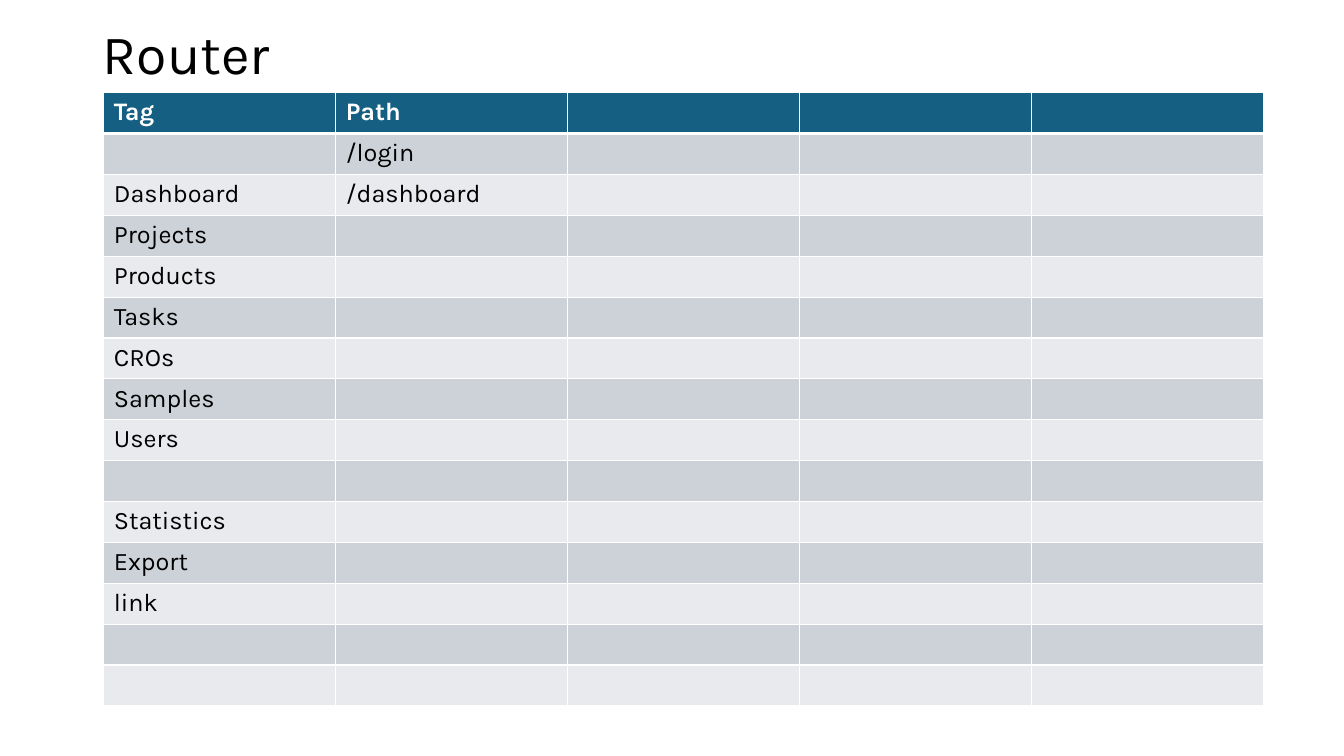
from typing import NamedTuple

from pptx import Presentation
from pptx.dml.color import RGBColor
from pptx.enum.text import MSO_ANCHOR, MSO_AUTO_SIZE, PP_ALIGN
from pptx.oxml.ns import qn
from pptx.util import Inches, Pt
from lxml.etree import SubElement

FONT = "Karla"
BLACK = RGBColor(0x00, 0x00, 0x00)
WHITE = RGBColor(0xFF, 0xFF, 0xFF)
HEADER_FILL = RGBColor(0x15, 0x60, 0x82)
DARK_BAND = RGBColor(0xCC, 0xD2, 0xD8)
LIGHT_BAND = RGBColor(0xE8, 0xEA, 0xED)
COLUMN_COUNT = 5


class Route(NamedTuple):
    tag: str = ""
    path_text: str = ""


ROUTES = [
    Route("Tag", "Path"),
    Route("", "/login"),
    Route("Dashboard", "/dashboard"),
    Route("Projects"),
    Route("Products"),
    Route("Tasks"),
    Route("CROs"),
    Route("Samples"),
    Route("Users"),
    Route(),
    Route("Statistics"),
    Route("Export"),
    Route("link"),
    Route(),
    Route(),
]


def write_text(frame, text: str, *, size: float = 18, color: RGBColor = BLACK,
               bold: bool = False, line_spacing: float = 1.0) -> None:
    paragraph = frame.paragraphs[0]
    paragraph.alignment = PP_ALIGN.LEFT
    paragraph.line_spacing = line_spacing
    run = paragraph.add_run()
    run.text = text
    run.font.name = FONT
    run.font.size = Pt(size)
    run.font.bold = bold
    run.font.color.rgb = color


def set_borders(cell, bottom_width: float) -> None:
    """Give the cell white borders, which must precede its fill in the XML."""
    properties = cell._tc.get_or_add_tcPr()
    widths = {"a:lnL": 1, "a:lnR": 1, "a:lnT": 1, "a:lnB": bottom_width}
    for side, width in widths.items():
        line = SubElement(properties, qn(side), w=str(Pt(width)))
        fill = SubElement(line, qn("a:solidFill"))
        SubElement(fill, qn("a:srgbClr"), val=str(WHITE))


def add_title(slide) -> None:
    title = slide.shapes.title
    title.left, title.top = Inches(0.92), Inches(0.21)
    title.width, title.height = Inches(11.5), Inches(0.71)
    frame = title.text_frame
    frame.auto_size = MSO_AUTO_SIZE.NONE
    frame.vertical_anchor = MSO_ANCHOR.MIDDLE
    write_text(frame, "Router", size=39.6, line_spacing=0.9)


def add_route_table(slide) -> None:
    table = slide.shapes.add_table(
        len(ROUTES), COLUMN_COUNT,
        Inches(1.03), Inches(0.92), Inches(11.5), Inches(6.08)).table
    for row_index, route in enumerate(ROUTES):
        is_header = row_index == 0
        band = DARK_BAND if row_index % 2 else LIGHT_BAND
        for column in range(COLUMN_COUNT):
            cell = table.cell(row_index, column)
            set_borders(cell, bottom_width=3 if is_header else 1)
            cell.fill.solid()
            cell.fill.fore_color.rgb = HEADER_FILL if is_header else band
            # Only the first columns hold route details
            if column < len(route) and route[column]:
                write_text(cell.text_frame, route[column], bold=is_header,
                           color=WHITE if is_header else BLACK)


def main() -> None:
    presentation = Presentation()
    presentation.slide_width = Inches(13.33)
    presentation.slide_height = Inches(7.5)
    title_only = presentation.slide_layouts[5]
    slide = presentation.slides.add_slide(title_only)
    add_title(slide)
    add_route_table(slide)
    presentation.save("out.pptx")


if __name__ == "__main__":
    main()
